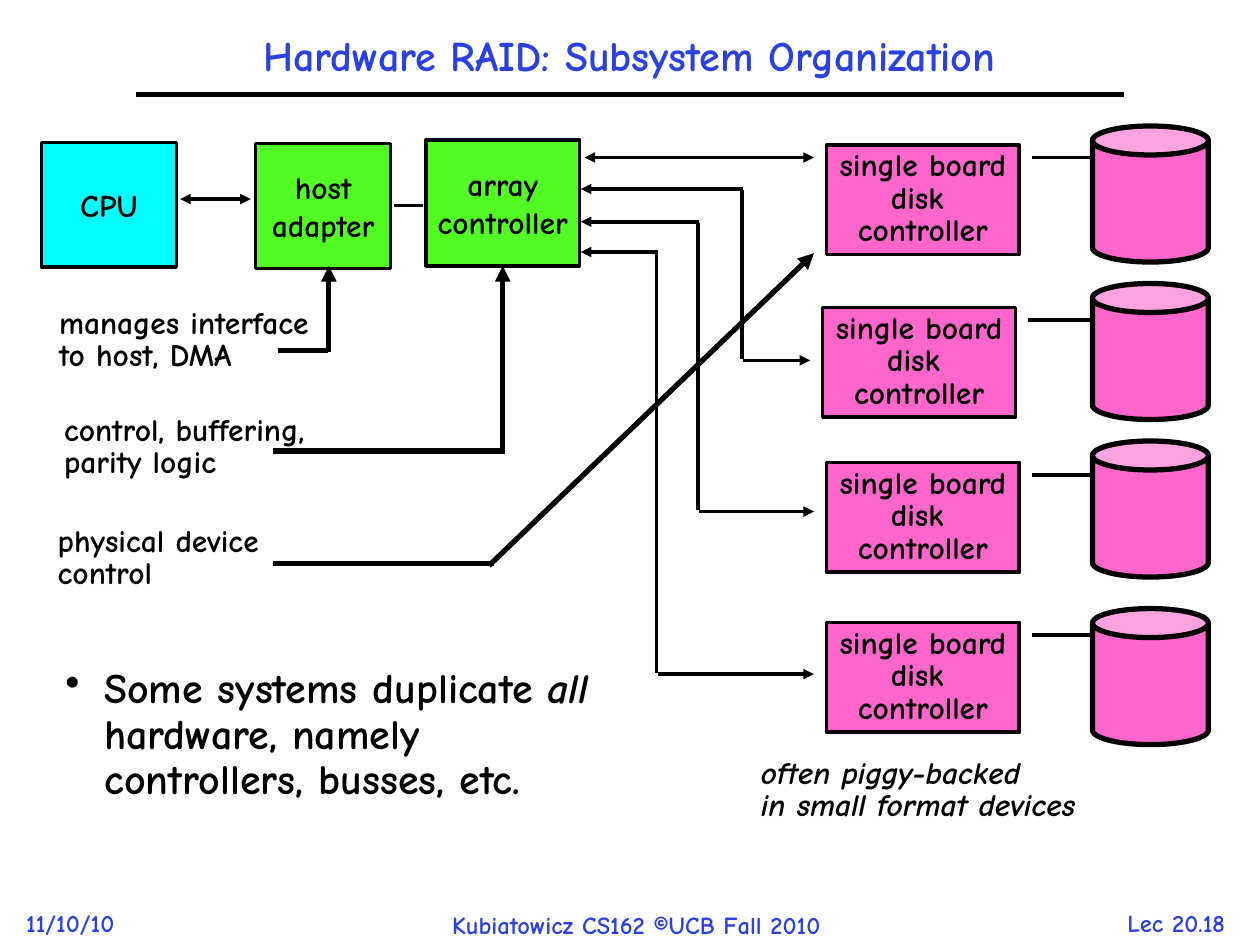
from typing import NamedTuple

import pptx
import pptx.dml.color
import pptx.enum.shapes
import pptx.enum.text
import pptx.oxml.ns
import pptx.util
from lxml import etree
from pptx.util import Inches

RGB = pptx.dml.color.RGBColor
ALIGN = pptx.enum.text.PP_ALIGN
SHAPE = pptx.enum.shapes.MSO_SHAPE

BLACK = RGB(0x00, 0x00, 0x00)
BLUE = RGB(0x2A, 0x40, 0xE2)
CYAN = RGB(0x00, 0xFF, 0xFF)
GREEN = RGB(0x53, 0xFB, 0x25)
PINK = RGB(0xFF, 0x66, 0xCC)
FACE = "Comic Neue"


class Area(NamedTuple):
    left: float
    top: float
    width: float
    height: float


class Style(NamedTuple):
    size: int = 18
    color: RGB = BLACK
    align: ALIGN = ALIGN.LEFT
    space: float = 1.0
    slant: bool = False
    wrap: bool = False
    middle: bool = False
    grow: bool = True


class Wire(NamedTuple):
    x1: float
    y1: float
    x2: float
    y2: float
    head: bool = False
    tail: bool = False


class Disk(NamedTuple):
    left: float  # left edge of the controller board
    top: float   # top edge of the controller board
    can: float   # top edge of the drive


BOX = Style(align=ALIGN.CENTER, middle=True, grow=False)
BOARD = BOX._replace(space=0.86, grow=True)
NOTE = Style(space=0.85)
TITLE = Style(24, BLUE, ALIGN.CENTER, 0.9, wrap=True, middle=True, grow=False)
BODY = Style(24, space=0.9, wrap=True, grow=False)
FOOT = Style(14, BLUE)


def dress(run, style: Style) -> None:
    """Set the font of a run."""
    font = run.font
    font.name, font.size = FACE, pptx.util.Pt(style.size)
    font.bold, font.italic = True, style.slant
    font.color.rgb = style.color


def write(shape, text: str, style: Style) -> None:
    """Fill a shape with text, one paragraph a line."""
    frame = shape.text_frame
    frame.text = text
    frame.word_wrap = style.wrap
    auto = pptx.enum.text.MSO_AUTO_SIZE
    frame.auto_size = auto.SHAPE_TO_FIT_TEXT if style.grow else auto.NONE
    anchor = pptx.enum.text.MSO_ANCHOR
    frame.vertical_anchor = anchor.MIDDLE if style.middle else anchor.TOP
    for para in frame.paragraphs:
        para.alignment = style.align
        para.line_spacing = style.space
        for run in para.runs:
            dress(run, style)


def label(slide, area: Area, text: str, style: Style):
    shape = slide.shapes.add_textbox(*map(Inches, area))
    write(shape, text, style)
    return shape


def block(slide, kind: SHAPE, area: Area, fill: RGB, line: float = 2):
    """Draw a filled shape with a black outline."""
    shape = slide.shapes.add_shape(kind, *map(Inches, area))
    shape.shadow.inherit = False
    shape.fill.solid()
    shape.fill.fore_color.rgb = fill
    shape.line.color.rgb = BLACK
    shape.line.width = pptx.util.Pt(line)
    return shape


def box(slide, area: Area, fill: RGB, text: str, style: Style = BOX):
    shape = block(slide, SHAPE.RECTANGLE, area, fill)
    write(shape, text, style)
    return shape


def draw(slide, wire: Wire, width: float = 2):
    kind = pptx.enum.shapes.MSO_CONNECTOR.STRAIGHT
    link = slide.shapes.add_connector(kind, *map(Inches, wire[:4]))
    link.line.color.rgb = BLACK
    link.line.width = pptx.util.Pt(width)
    qn = pptx.oxml.ns.qn
    line = link.line._get_or_add_ln()
    for tag, shown in (("a:headEnd", wire.head), ("a:tailEnd", wire.tail)):
        if shown:
            etree.SubElement(line, qn(tag), type="triangle")
    etree.SubElement(link._element.spPr, qn("a:effectLst"))
    return link


def bullet(para) -> None:
    """Give a paragraph a black dot and a hanging indent."""
    qn = pptx.oxml.ns.qn
    props = para._p.get_or_add_pPr()
    props.set("marL", str(Inches(0.31)))
    props.set("indent", str(Inches(-0.31)))
    color = etree.SubElement(props, qn("a:buClr"))
    etree.SubElement(color, qn("a:srgbClr"), val=str(BLACK))
    etree.SubElement(props, qn("a:buChar"), char="•")


DISKS = [Disk(6.56, 1.15, 1), Disk(6.53, 2.44, 2.25),
         Disk(6.56, 3.67, 3.5), Disk(6.56, 4.94, 4.83)]

# Wires from the array controller: bend x, start y, end x, end y
BENDS = [(5.89, 1.5, 6.43, 2.86), (5.54, 1.76, 6.46, 4.06), (5.21, 2, 6.46, 5.35)]

WIRES = [Wire(4.64, 1.25, 6.46, 1.25, True, True),
         Wire(3.13, 1.63, 3.36, 1.63),
         Wire(1.43, 1.58, 1.99, 1.58, True, True)]

LEADS = [Wire(2.21, 2.78, 2.6, 2.78), Wire(2.61, 2.79, 2.61, 2.11, tail=True),
         Wire(2.17, 3.58, 3.97, 3.58),
         Wire(2.17, 4.47, 3.92, 4.47), Wire(3.88, 4.49, 6.46, 2.01, tail=True)]

NOTES = [(Area(0.37, 2.4, 2.19, 0.61), "manages interface\nto host, DMA"),
         (Area(0.41, 3.25, 2.11, 0.61), "control, buffering,\nparity logic"),
         (Area(0.36, 4.13, 1.8, 0.61), "physical device\ncontrol")]

FEET = [(Area(0.11, 7.16, 0.9, 0.33), "11/10/10", ALIGN.LEFT),
        (Area(3.49, 7.17, 3.13, 0.33), "Kubiatowicz CS162 ©UCB Fall 2010", ALIGN.LEFT),
        (Area(8.51, 7.16, 1.65, 0.33), "Lec 20.18", ALIGN.CENTER)]


def main() -> None:
    deck = pptx.Presentation()
    deck.slide_width, deck.slide_height = Inches(10), Inches(7.5)
    slide = deck.slides.add_slide(deck.slide_layouts[6])

    for area, text, align in FEET:
        label(slide, area, text, FOOT._replace(align=align))
    draw(slide, Wire(1.08, 0.75, 8.92, 0.75), 3)
    label(slide, Area(1.08, 0.17, 7.83, 0.58),
          "Hardware RAID: Subsystem Organization", TITLE)

    box(slide, Area(0.33, 1.13, 1.07, 0.99), CYAN, "CPU")
    array = box(slide, Area(3.38, 1.11, 1.22, 1), GREEN, "array\ncontroller")
    box(slide, Area(2.03, 1.14, 1.07, 0.99), GREEN, "host\nadapter")

    for disk in DISKS:
        box(slide, Area(disk.left, disk.top, 1.53, 0.87), PINK,
            "single board\ndisk \ncontroller", BOARD)
        x, y = disk.left + 1.63, disk.top + 0.1
        draw(slide, Wire(x, y, x + 0.82, y))
        block(slide, SHAPE.CAN, Area(8.67, disk.can, 0.92, 1.08), PINK, 3)

    for x, y1, x2, y2 in BENDS:
        draw(slide, Wire(x, y1 + 0.01, x, y2 - 0.01))
        draw(slide, Wire(x + 0.01, y2, x2, y2, tail=True))
        draw(slide, Wire(x + 0.01, y1, 4.61, y1, tail=True))
    for wire in WIRES:
        draw(slide, wire)

    for area, text in NOTES:
        label(slide, area, text, NOTE)
    for wire in LEADS:
        draw(slide, wire, 3)
    draw(slide, Wire(3.99, 3.6, 3.99, 2.11, tail=True), 3).end_connect(array, 2)
    label(slide, Area(5.94, 5.97, 2.7, 0.61),
          "often piggy-backed\nin small format devices", NOTE._replace(slant=True))

    body = label(slide, Area(0.42, 5.25, 4.67, 1.33), "Some systems duplicate ", BODY)
    para = body.text_frame.paragraphs[0]
    bullet(para)
    for text, slant in (("all", True),
                        (" hardware, namely controllers, busses, etc.", False)):
        run = para.add_run()
        run.text = text
        dress(run, BODY._replace(slant=slant))

    deck.save("out.pptx")


if __name__ == "__main__":
    main()
